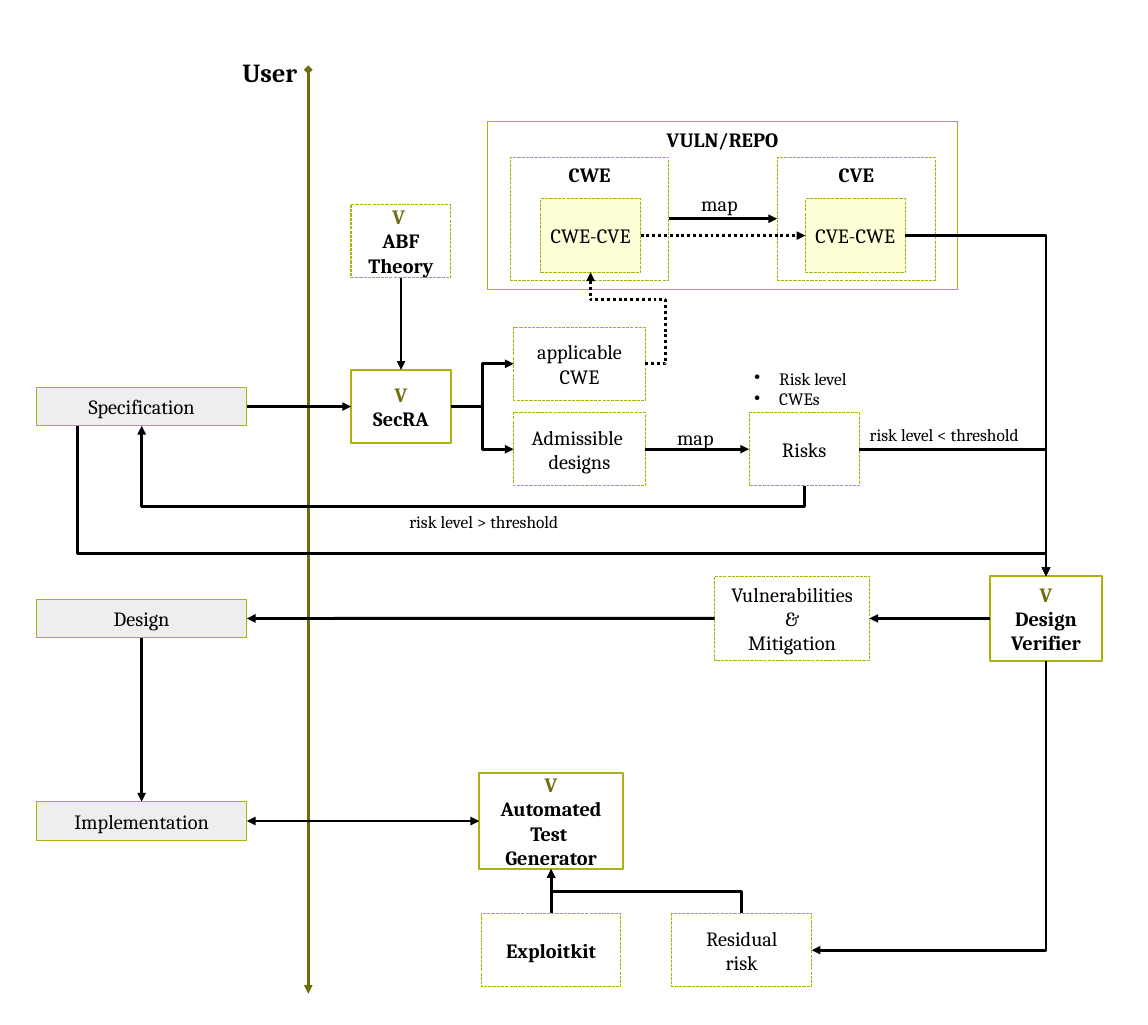
from lxml.etree import SubElement
from pptx import Presentation
from pptx.dml.color import RGBColor
from pptx.enum.dml import MSO_LINE
from pptx.enum.shapes import MSO_CONNECTOR, MSO_SHAPE
from pptx.enum.text import MSO_ANCHOR, PP_ALIGN
from pptx.oxml.ns import qn
from pptx.util import Pt

BLACK = RGBColor(0x00, 0x00, 0x00)
OLIVE = RGBColor(0x70, 0x6E, 0x0C)
LIME = RGBColor(0xAC, 0xB2, 0x0C)
GREY = RGBColor(0xEE, 0xEE, 0xEE)
CREAM = RGBColor(0xFF, 0xFF, 0xD7)
TOP, LEFT, BOTTOM, RIGHT = range(4)
BOX_HEIGHT = 50.8
TOOL_WIDTH = 69.1


def write_text(shape, text, size=14, bold=False, lead=None, align=PP_ALIGN.CENTER,
               anchor=MSO_ANCHOR.MIDDLE, bullets=False):
    frame = shape.text_frame
    frame.word_wrap = False
    frame.vertical_anchor = anchor
    for index, line in enumerate(text.split("\n")):
        paragraph = frame.add_paragraph() if index else frame.paragraphs[0]
        paragraph.alignment = align
        run = paragraph.add_run()
        run.text = line
        run.font.name = "Cambria"
        run.font.size = Pt(size)
        run.font.bold = bold
        run.font.color.rgb = lead if lead and index == 0 else BLACK
        if bullets:
            properties = paragraph._p.get_or_add_pPr()
            properties.set("marL", str(Pt(17.3)))
            properties.set("indent", str(-Pt(17.3)))
            SubElement(properties, qn("a:buSzPct")).set("val", "45000")
            SubElement(properties, qn("a:buChar")).set("char", "●")


def side_middle(shape, side):
    x = {LEFT: 0, RIGHT: shape.width}.get(side, shape.width // 2)
    y = {TOP: 0, BOTTOM: shape.height}.get(side, shape.height // 2)
    return shape.left + x, shape.top + y


class Diagram:
    def __init__(self, slide):
        self.shapes = slide.shapes
        self.outline = LIME
        self.arrow = BLACK

    def box(self, text, x, y, width, height=BOX_HEIGHT, fill=None, dash=MSO_LINE.SQUARE_DOT,
            weight=0, **style):
        box = self.shapes.add_shape(MSO_SHAPE.RECTANGLE, Pt(x), Pt(y), Pt(width), Pt(height))
        box.shadow.inherit = False
        if fill is None:
            box.fill.background()
        else:
            box.fill.solid()
            box.fill.fore_color.rgb = fill
        box.line.color.rgb = self.outline
        box.line.width = Pt(weight)
        box.line.dash_style = dash
        write_text(box, text, **style)
        return box

    def tool(self, text, x, y, width, height=BOX_HEIGHT):
        return self.box(text, x, y, width, height, dash=MSO_LINE.SOLID, weight=1.5,
                        bold=True, lead=OLIVE)

    def label(self, text, x, y, width, height, **style):
        label = self.shapes.add_textbox(Pt(x), Pt(y), Pt(width), Pt(height))
        write_text(label, text, **{"align": PP_ALIGN.LEFT, "anchor": MSO_ANCHOR.TOP, **style})

    def finish(self, connector, color, head, tail, dash):
        connector.line.color.rgb = color
        connector.line.width = Pt(0)
        connector.line.dash_style = dash
        ends = connector.line._get_or_add_ln()
        for tag, kind in (("a:headEnd", head), ("a:tailEnd", tail)):
            if kind:
                SubElement(ends, qn(tag)).set("type", kind)
        SubElement(connector._element.spPr, qn("a:effectLst"))

    def line(self, start, end, head=None):
        connector = self.shapes.add_connector(MSO_CONNECTOR.STRAIGHT, *start, *end)
        self.finish(connector, OLIVE, head, "triangle", MSO_LINE.SOLID)

    def straight(self, source, source_side, target, target_side, head=None, dash=MSO_LINE.SOLID):
        connector = self.shapes.add_connector(MSO_CONNECTOR.STRAIGHT, 0, 0, 0, 0)
        connector.begin_connect(source, source_side)
        connector.end_connect(target, target_side)
        self.finish(connector, self.arrow, head, "triangle", dash)

    def elbow(self, source, source_side, target, target_side, bends, adjust=(), start=None,
              dash=MSO_LINE.SOLID):
        x1, y1 = start or side_middle(source, source_side)
        x2, y2 = side_middle(target, target_side)
        connector = self.shapes.add_connector(MSO_CONNECTOR.ELBOW, x1, y1, x2, y2)
        if start is None:
            connector.begin_connect(source, source_side)
        connector.end_connect(target, target_side)
        width, height = abs(x2 - x1), abs(y2 - y1)
        flip_h, flip_v, turn = x2 < x1, y2 < y1, 0
        if source_side in (TOP, BOTTOM):
            width, height = height, width
            turn = 90 if x2 < x1 and y2 > y1 else 270
            flip_h, flip_v = turn == 270 and y2 > y1, turn == 270 and x2 < x1
        connector.left, connector.top = (x1 + x2 - width) // 2, (y1 + y2 - height) // 2
        connector.width, connector.height = width, height
        properties = connector._element.spPr
        frame = properties.find(qn("a:xfrm"))
        frame.set("rot", str(turn * 60000))
        frame.set("flipH", str(int(flip_h)))
        frame.set("flipV", str(int(flip_v)))
        geometry = properties.find(qn("a:prstGeom"))
        geometry.set("prst", f"bentConnector{bends + 1}")
        guides = geometry.find(qn("a:avLst"))
        for index, value in enumerate(adjust, 1):
            guide = SubElement(guides, qn("a:gd"))
            guide.set("name", f"adj{index}")
            guide.set("fmla", f"val {round(value * 100000)}")
        self.finish(connector, self.arrow, None, "triangle", dash)


def main():
    presentation = Presentation()
    presentation.slide_width, presentation.slide_height = Pt(793.4), Pt(708.5)
    diagram = Diagram(presentation.slides.add_slide(presentation.slide_layouts[6]))

    diagram.line((Pt(213.1), Pt(48.2)), (Pt(213.1), Pt(686.9)), head="diamond")
    diagram.label("User", 157.7, 35.3, 57.6, 28.1, size=18, bold=True, align=PP_ALIGN.CENTER)

    specification, design, implementation = [
        diagram.box(phase, 25.2, y, 145.4, 26.8, fill=GREY, dash=MSO_LINE.SOLID)
        for phase, y in (("Specification", 267.6), ("Design", 414.1), ("Implementation", 554.1))]

    title = {"bold": True, "anchor": MSO_ANCHOR.TOP}
    diagram.box("VULN/REPO", 337, 84.2, 324.7, 115.9, dash=MSO_LINE.SOLID, **title)
    cwe, cve = [diagram.box(name, x, 108.7, 109.4, 85, **title)
                for name, x in (("CWE", 352.8), ("CVE", 537.1))]
    cwe_cve, cve_cwe = [diagram.box(name, x, 137.5, TOOL_WIDTH, fill=CREAM)
                        for name, x in (("CWE-CVE", 373.7), ("CVE-CWE", 556.6))]

    theory = diagram.box("V \nABF\nTheory", 242.6, 141.1, TOOL_WIDTH, bold=True, lead=OLIVE)
    applicable = diagram.box("applicable\nCWE", 355, 226.1, 91)
    admissible = diagram.box("Admissible \ndesigns", 355, 285.1, 91)
    risks = diagram.box("Risks", 517.7, 285.1, 76.3)
    mitigation = diagram.box("Vulnerabilities\n&\nMitigation", 493.9, 398.2, 107, 58.5)
    exploits = diagram.box("Exploitkit", 332.6, 631.4, 96.6, bold=True)
    residual = diagram.box("Residual\nrisk", 464.4, 631.4, 96.6)

    assessment = diagram.tool("V\nSecRA", 242.6, 255.6, TOOL_WIDTH)
    verifier = diagram.tool("V\nDesign\nVerifier", 684, 398.2, 77.8, 58.5)
    generator = diagram.tool("V\nAutomated\nTest \nGenerator", 331.2, 534.2, 99.4, 66.6)

    diagram.straight(theory, BOTTOM, assessment, TOP)
    diagram.straight(specification, RIGHT, assessment, LEFT)
    diagram.straight(cwe, RIGHT, cve, LEFT)
    diagram.straight(cwe_cve, RIGHT, cve_cwe, LEFT, dash=MSO_LINE.ROUND_DOT)
    diagram.straight(admissible, RIGHT, risks, LEFT)
    diagram.straight(verifier, LEFT, mitigation, RIGHT)
    diagram.straight(mitigation, LEFT, design, RIGHT)
    diagram.straight(design, BOTTOM, implementation, TOP)
    diagram.straight(implementation, RIGHT, generator, LEFT, head="triangle")
    diagram.straight(exploits, TOP, generator, BOTTOM)

    diagram.elbow(assessment, RIGHT, applicable, LEFT, 2, (0.5,))
    diagram.elbow(assessment, RIGHT, admissible, LEFT, 2, (0.5,))
    diagram.elbow(applicable, RIGHT, cwe_cve, BOTTOM, 3, (-0.37, 0.7), dash=MSO_LINE.ROUND_DOT)
    diagram.elbow(cve_cwe, RIGHT, verifier, TOP, 1)
    diagram.elbow(risks, RIGHT, verifier, TOP, 1)
    diagram.elbow(risks, BOTTOM, specification, BOTTOM, 2, (-0.34,))
    diagram.elbow(specification, BOTTOM, verifier, TOP, 2, (0.85,), start=(Pt(53.5), Pt(294.4)))
    diagram.elbow(verifier, BOTTOM, residual, RIGHT, 1)
    diagram.elbow(residual, TOP, generator, BOTTOM, 2, (0.49,))

    for x, y in ((477.4, 128.9), (460.8, 290.2)):
        diagram.label("map", x, y, 42.5, 26.6)
    diagram.label("Risk level\nCWEs", 514.1, 250.6, 79.9, 35.3, size=12, bullets=True)
    diagram.label("risk level > threshold", 275.8, 349.9, 121.7, 20.9, size=12)
    diagram.label("risk level < threshold", 594, 289.4, 121.7, 20.9, size=12)

    presentation.save("out.pptx")


if __name__ == "__main__":
    main()
